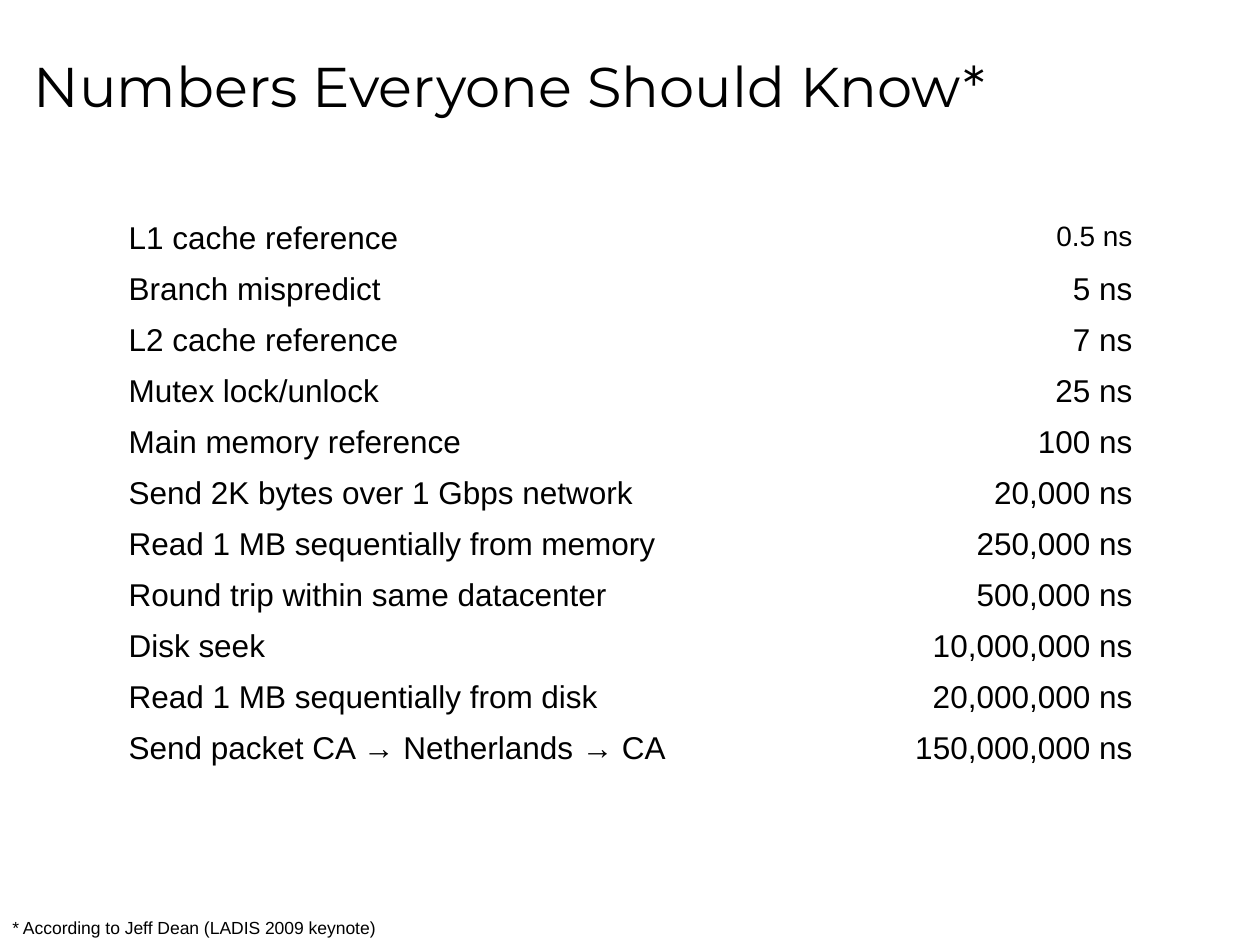
from dataclasses import dataclass
from typing import NamedTuple

from pptx import Presentation
from pptx.dml.color import RGBColor
from pptx.enum.text import MSO_ANCHOR, PP_ALIGN
from pptx.util import Emu, Pt

LEFT, RIGHT = PP_ALIGN.LEFT, PP_ALIGN.RIGHT
MIDDLE = MSO_ANCHOR.MIDDLE
SCALE = 914400 / 126


@dataclass(frozen=True)
class Theme:
    ink: RGBColor = RGBColor(0, 0, 0)
    head: str = "Montserrat"
    text: str = "Arial"
    title: int = 32
    body: int = 18
    small: int = 16
    note: int = 10


class Box(NamedTuple):
    left: int
    top: int
    width: int
    height: int


class Row(NamedTuple):
    task: str
    time: str
    size: int


THEME = Theme()
TITLE = Box(21, 15, 1197, 141)
TABLE = Box(116, 215, 1029, 561)
NOTE = Box(0, 911, 392, 34)
COLS = (651, 378)
ROWS = [
    Row("L1 cache reference", "0.5 ns", THEME.small),
    Row("Branch mispredict", "5 ns", THEME.body),
    Row("L2 cache reference", "7 ns", THEME.body),
    Row("Mutex lock/unlock", "25 ns", THEME.body),
    Row("Main memory reference", "100 ns", THEME.body),
    Row("Send 2K bytes over 1 Gbps network", "20,000 ns", THEME.body),
    Row("Read 1 MB sequentially from memory", "250,000 ns", THEME.body),
    Row("Round trip within same datacenter", "500,000 ns", THEME.body),
    Row("Disk seek", "10,000,000 ns", THEME.body),
    Row("Read 1 MB sequentially from disk", "20,000,000 ns", THEME.body),
    Row("Send packet CA → Netherlands → CA", "150,000,000 ns", THEME.body),
]


def px(n: int) -> Emu:
    return Emu(round(n * SCALE))


def write(frame, text: str, size: int, face: str, align=LEFT) -> None:
    frame.text = text
    para = frame.paragraphs[0]
    para.alignment = align
    font = para.runs[0].font
    font.name, font.size, font.bold = face, Pt(size), False
    font.color.rgb = THEME.ink


def add_title(slide, box: Box, text: str) -> None:
    title = slide.shapes.title
    title.left, title.top, title.width, title.height = map(px, box)
    write(title.text_frame, text, THEME.title, THEME.head)
    title.text_frame.vertical_anchor = MIDDLE


def add_rows(slide, box: Box, rows: list[Row]) -> None:
    table = slide.shapes.add_table(len(rows), len(COLS), *map(px, box)).table
    table.first_row = table.horz_banding = False
    for col, width in zip(table.columns, COLS):
        col.width = px(width)
    for line, row in zip(table.rows, rows):
        line.height = px(box.height // len(rows))
        task, time = line.cells
        write(task.text_frame, row.task, THEME.body, THEME.text)
        write(time.text_frame, row.time, row.size, THEME.text, RIGHT)
        for cell in (task, time):
            cell.fill.background()


def add_note(slide, box: Box, text: str) -> None:
    frame = slide.shapes.add_textbox(*map(px, box)).text_frame
    frame.word_wrap = False
    write(frame, text, THEME.note, THEME.text)


def main() -> None:
    deck = Presentation()
    deck.slide_width, deck.slide_height = px(1260), px(945)
    slide = deck.slides.add_slide(deck.slide_layouts[5])
    add_title(slide, TITLE, "Numbers Everyone Should Know*")
    add_rows(slide, TABLE, ROWS)
    add_note(slide, NOTE, "* According to Jeff Dean (LADIS 2009 keynote)")
    deck.save("out.pptx")


if __name__ == "__main__":
    main()
